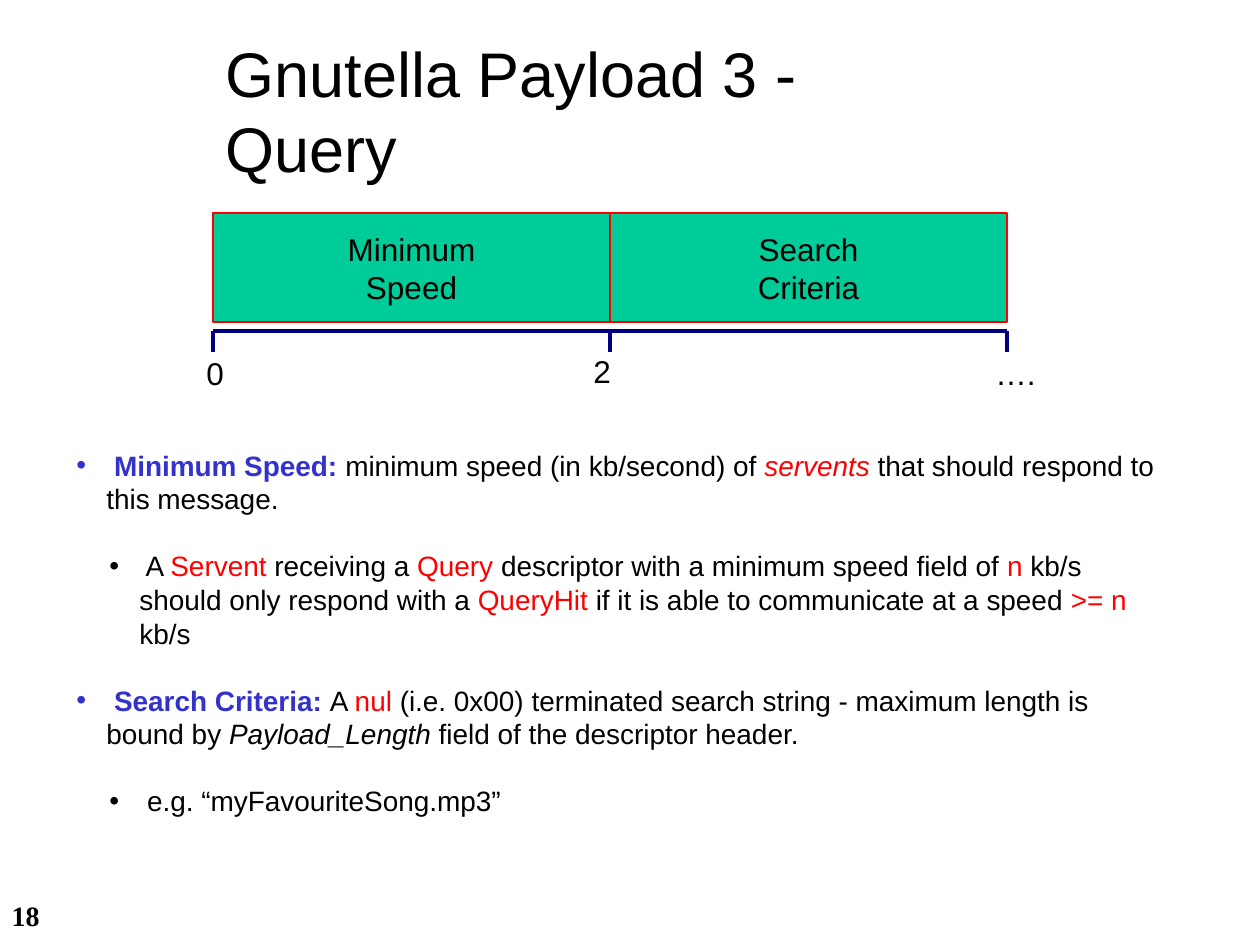
from lxml import etree
from pptx import Presentation
from pptx import util as u
from pptx.dml.color import RGBColor
from pptx.enum import shapes, text
from pptx.oxml.ns import qn

SCALE = 914400 / 126  # EMU per px
LINE_HEIGHT = 1.2
COLORS = {"black": "000000", "blue": "3333CC", "red": "FF0000",
          "green": "00CC99", "navy": "000080"}
# Run styles: colour, bold, italic
RUNS = {"plain": ("black", False, False), "term": ("blue", True, False),
        "key": ("red", False, False), "key italic": ("red", False, True),
        "italic": ("black", False, True)}


def px(value):
    return u.Emu(round(value * SCALE))


def color(name):
    return RGBColor.from_string(COLORS[name])


class SlideBuilder:
    def __init__(self, slide, font="Arial"):
        self.slide = slide
        self.font = font

    def format(self, paragraph, size, align=text.PP_ALIGN.LEFT, font=None, bold=False):
        paragraph.alignment = align
        paragraph.line_spacing = u.Pt(size * LINE_HEIGHT)
        paragraph.font.name = font or self.font
        paragraph.font.size = u.Pt(size)
        paragraph.font.bold = bold
        paragraph.font.color.rgb = color("black")

    def title(self, words, left, top, width, height):
        shape = self.slide.shapes.title
        shape.left, shape.top, shape.width, shape.height = map(px, (left, top, width, height))
        frame = shape.text_frame
        frame.text = words
        frame.word_wrap = False
        frame.auto_size = text.MSO_AUTO_SIZE.NONE
        frame.vertical_anchor = text.MSO_ANCHOR.TOP
        self.format(frame.paragraphs[0], 36)

    def label(self, words, left, top, width, height, size=18, **style):
        shape = self.slide.shapes.add_textbox(*map(px, (left, top, width, height)))
        shape.text_frame.text = words
        self.format(shape.text_frame.paragraphs[0], size, **style)

    def field(self, lines, left, top, width, height):
        shape = self.slide.shapes.add_shape(
            shapes.MSO_SHAPE.RECTANGLE, *map(px, (left, top, width, height)))
        shape.shadow.inherit = False
        shape.fill.solid()
        shape.fill.fore_color.rgb = color("green")
        shape.line.color.rgb = color("red")
        shape.line.width = u.Pt(0.75)
        frame = shape.text_frame
        frame.text = "\n".join(lines)
        frame.vertical_anchor = text.MSO_ANCHOR.MIDDLE
        for paragraph in frame.paragraphs:
            self.format(paragraph, 18, align=text.PP_ALIGN.CENTER)

    def line(self, x1, y1, x2, y2):
        connector = self.slide.shapes.add_connector(
            shapes.MSO_CONNECTOR.STRAIGHT, *map(px, (x1, y1, x2, y2)))
        connector.line.color.rgb = color("navy")
        connector.line.width = u.Pt(2)
        etree.SubElement(connector._element.spPr, qn("a:effectLst"))

    def bullet(self, paragraph, level, color_name):
        paragraph.level = level
        properties = paragraph._p.get_or_add_pPr()
        properties.set("marL", str(px(63 if level else 30)))
        properties.set("indent", str(px(-30)))
        bullet_color = etree.SubElement(properties, qn("a:buClr"))
        etree.SubElement(bullet_color, qn("a:srgbClr"), val=COLORS[color_name])
        etree.SubElement(properties, qn("a:buFont"), typeface=self.font)
        etree.SubElement(properties, qn("a:buChar"), char="•")

    def bullets(self, items, left, top, width, height, size=16):
        shape = self.slide.shapes.add_textbox(*map(px, (left, top, width, height)))
        frame = shape.text_frame
        frame.word_wrap = True
        for index, (level, runs) in enumerate(items):
            paragraph = frame.add_paragraph() if index else frame.paragraphs[0]
            self.bullet(paragraph, level, RUNS[runs[0][1]][0])
            self.format(paragraph, size)
            if index:
                paragraph.space_before = u.Pt(size * LINE_HEIGHT)
            for words, style in runs:
                run = paragraph.add_run()
                run.text = words
                color_name, run.font.bold, run.font.italic = RUNS[style]
                run.font.color.rgb = color(color_name)


ITEMS = [
    (0, [(" Minimum Speed: ", "term"),
         ("minimum speed (in kb/second) of ", "plain"),
         ("servents ", "key italic"),
         ("that should respond to this message.", "plain")]),
    (1, [(" A ", "plain"), ("Servent", "key"),
         (" receiving a ", "plain"), ("Query", "key"),
         (" descriptor with a minimum speed field of ", "plain"), ("n ", "key"),
         ("kb/s should only respond with a ", "plain"), ("QueryHit ", "key"),
         ("if it is able to communicate at a speed ", "plain"), (">= n ", "key"),
         ("kb/s", "plain")]),
    (0, [(" Search Criteria: ", "term"), ("A ", "plain"), ("nul ", "key"),
         ("(i.e. 0x00) terminated search string - maximum length is bound by ", "plain"),
         ("Payload_Length ", "italic"),
         ("field of the descriptor header.", "plain")]),
    (1, [(" e.g. “myFavouriteSong.mp3”", "plain")]),
]


def main():
    presentation = Presentation()
    presentation.slide_width, presentation.slide_height = px(1260), px(945)
    slide = presentation.slides.add_slide(presentation.slide_layouts[5])
    builder = SlideBuilder(slide)

    # Title and slide number
    builder.title("Gnutella Payload 3 - Query", 213, 28, 785, 88)
    builder.label("18", -21, 892, 73, 63, size=16, align=text.PP_ALIGN.RIGHT,
                  font="Times New Roman", bold=True)

    # Payload fields
    left, field_width = 213, 397
    for index, lines in enumerate([("Minimum", "Speed"), ("Search", "Criteria")]):
        builder.field(lines, left + index * field_width, 213, field_width, 109)

    # Byte offset scale
    scale_top = 331
    builder.line(left, scale_top, left + 2 * field_width, scale_top)
    offsets = [("0", 194, 348, 43), ("2", 581, 346, 43), ("….", 983, 348, 66)]
    for index, (words, label_left, label_top, width) in enumerate(offsets):
        tick = left + index * field_width
        builder.line(tick, scale_top, tick, scale_top + 21)
        builder.label(words, label_left, label_top, width, 50)

    # Field descriptions
    builder.bullets(ITEMS, 64, 442, 1111, 416)

    presentation.save("out.pptx")


if __name__ == "__main__":
    main()
